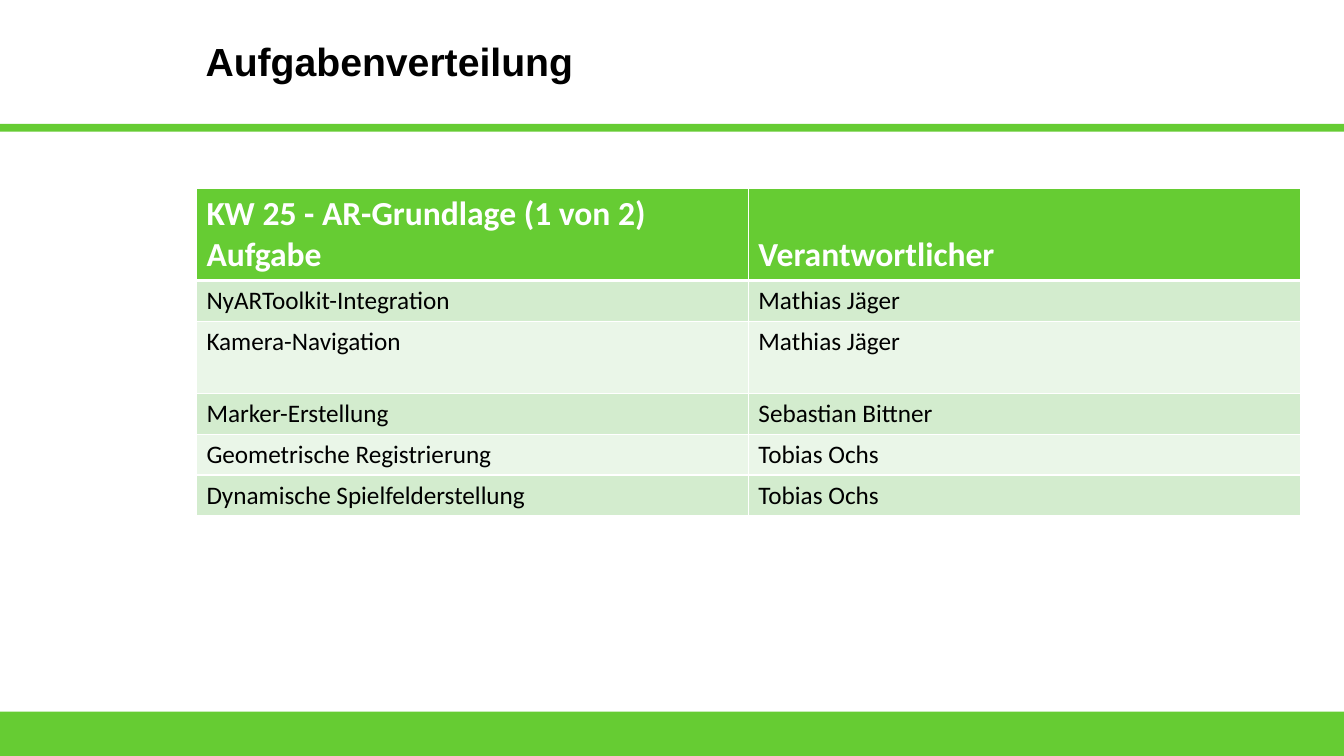
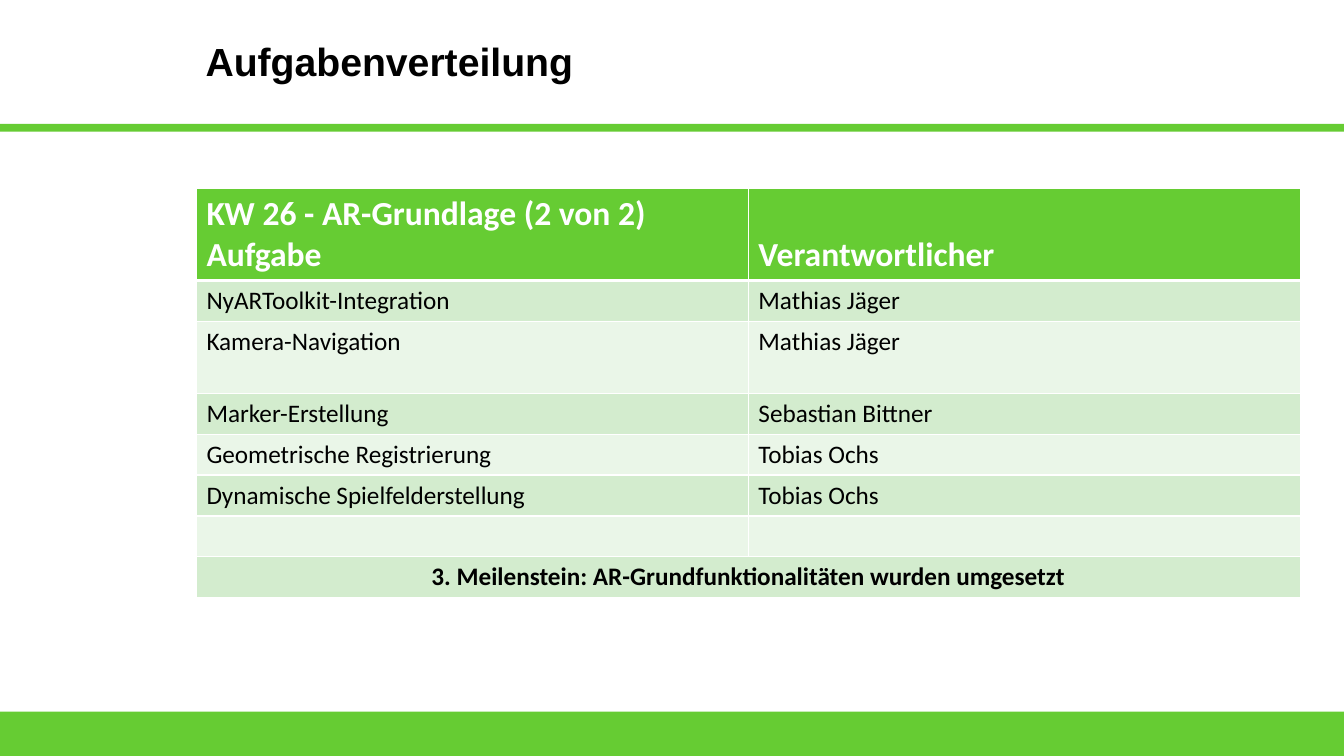
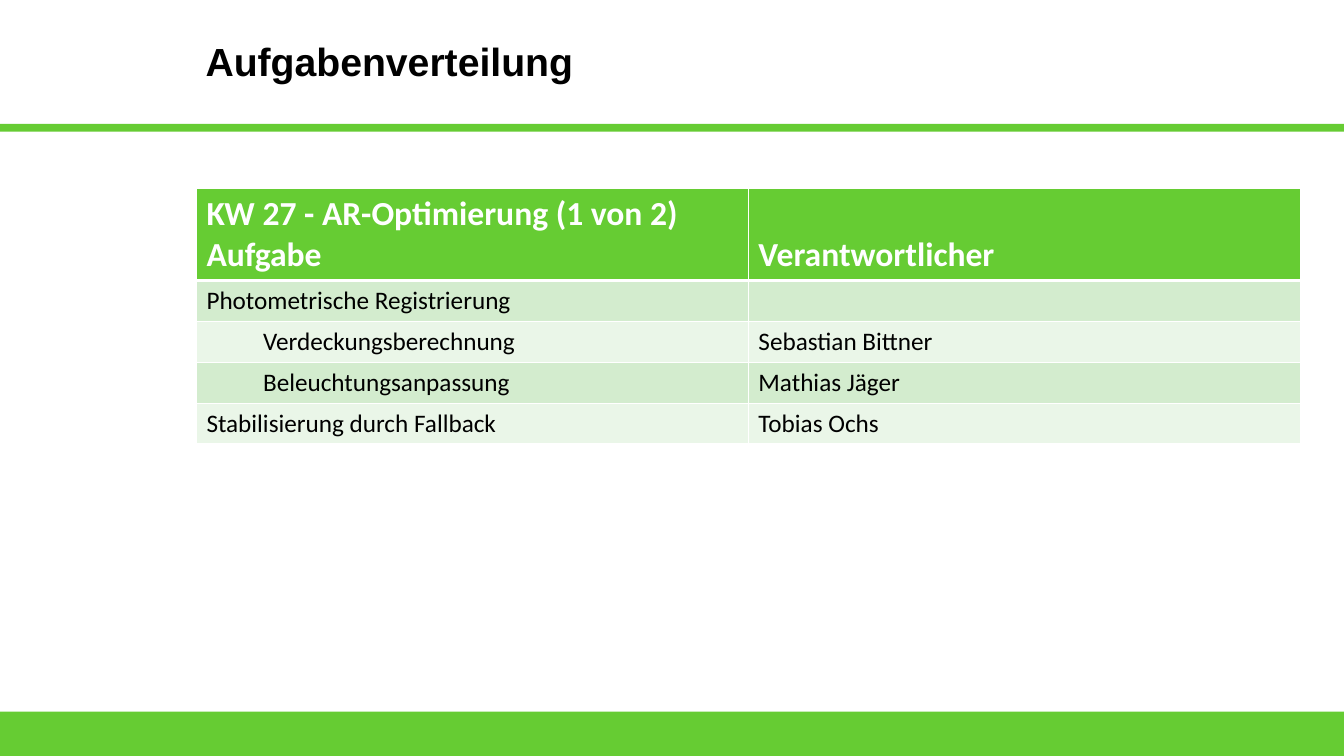
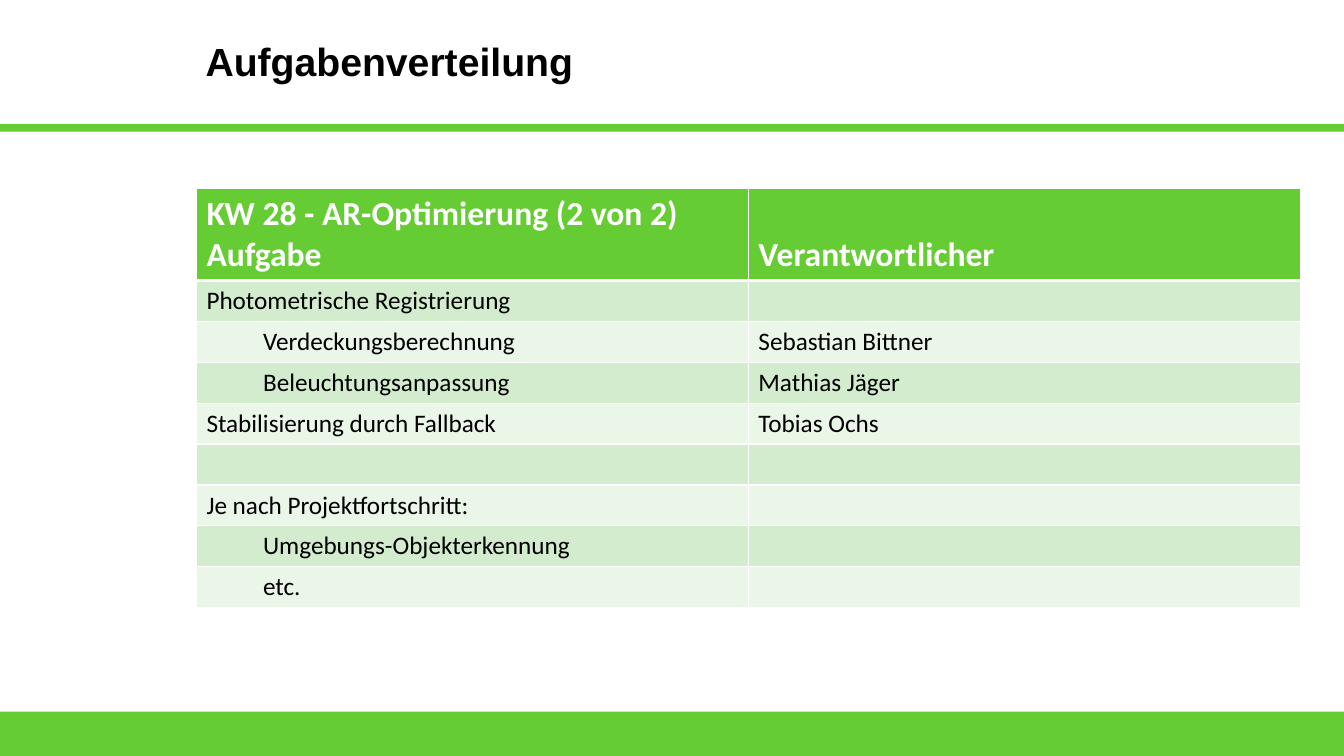
from lxml.etree import SubElement
from pptx import Presentation
from pptx.dml.color import RGBColor
from pptx.enum.shapes import MSO_SHAPE
from pptx.enum.text import MSO_ANCHOR, PP_ALIGN
from pptx.oxml.ns import qn
from pptx.util import Cm, Pt

COLORS = {
    "green": "66CC33",
    "band_dark": "D3ECCE",
    "band_light": "EAF6E8",
    "white": "FFFFFF",
    "black": "000000",
}
TITLE = "Aufgabenverteilung"
SLIDE_WIDTH, SLIDE_HEIGHT = 33.87, 19.05
BANDS = [(17.93, 1.12), (3.12, 0.2)]  # top, height
COLUMN_WIDTH = 13.91
HEADER_HEIGHT, ROW_HEIGHT, TALL_ROW_HEIGHT = 2.32, 1.03, 1.81
CELL_MARGIN, INDENT = 0.25, 1.43

# Table content: a leading tab marks a subtask, a single entry spans the row
basics = [
    ("NyARToolkit-Integration", "Mathias Jäger"),
    ("Kamera-Navigation", "Mathias Jäger"),
    ("Marker-Erstellung", "Sebastian Bittner"),
    ("Geometrische Registrierung", "Tobias Ochs"),
    ("Dynamische Spielfelderstellung", "Tobias Ochs"),
]
milestone = [
    ("", ""),
    ("3. Meilenstein: AR-Grundfunktionalitäten wurden umgesetzt",),
]
optimization = [
    ("Photometrische Registrierung", ""),
    ("\tVerdeckungsberechnung", "Sebastian Bittner"),
    ("\tBeleuchtungsanpassung", "Mathias Jäger"),
    ("Stabilisierung durch Fallback", "Tobias Ochs"),
]
optional = [
    ("", ""),
    ("Je nach Projektfortschritt:", ""),
    ("\tUmgebungs-Objekterkennung", ""),
    ("\tetc.", ""),
]
weeks = [
    ("KW 25 - AR-Grundlage (1 von 2)", basics),
    ("KW 26 - AR-Grundlage (2 von 2)", basics + milestone),
    ("KW 27 - AR-Optimierung (1 von 2)", optimization),
    ("KW 28 - AR-Optimierung (2 von 2)", optimization + optional),
]


def add_text(paragraph, text, size, color, bold=False, font="Calibri"):
    run = paragraph.add_run()
    run.text = text
    run.font.name = font
    run.font.size = Pt(size)
    run.font.bold = bold
    run.font.color.rgb = RGBColor.from_string(COLORS[color])


def style_cell(cell, fill, top=1, bottom=1):
    """Give a cell white borders (widths in points) and a solid fill."""
    properties = cell._tc.get_or_add_tcPr()
    for side, width in (("L", 1), ("R", 1), ("T", top), ("B", bottom)):
        line = SubElement(properties, qn(f"a:ln{side}"), w=str(Pt(width)))
        line_fill = SubElement(line, qn("a:solidFill"))
        SubElement(line_fill, qn("a:srgbClr"), val=COLORS["white"])
    cell.fill.solid()
    cell.fill.fore_color.rgb = RGBColor.from_string(COLORS[fill])


presentation = Presentation()
presentation.slide_width = Cm(SLIDE_WIDTH)
presentation.slide_height = Cm(SLIDE_HEIGHT)
blank_layout = presentation.slide_layouts[6]

for heading, tasks in weeks:
    slide = presentation.slides.add_slide(blank_layout)

    # Green bands
    for top, height in BANDS:
        band = slide.shapes.add_shape(
            MSO_SHAPE.RECTANGLE, 0, Cm(top), Cm(SLIDE_WIDTH), Cm(height))
        band.shadow.inherit = False
        band.fill.solid()
        band.fill.fore_color.rgb = RGBColor.from_string(COLORS["green"])
        band.line.fill.background()

    # Title
    title = slide.shapes.add_textbox(Cm(4.93), Cm(-0.05), Cm(28.94), Cm(3.18))
    title.text_frame.word_wrap = True
    title.text_frame.vertical_anchor = MSO_ANCHOR.MIDDLE
    add_text(title.text_frame.paragraphs[0], TITLE, 28, "black", True, "Arial")

    # Table grid
    heights = [HEADER_HEIGHT] + [
        TALL_ROW_HEIGHT if task[0] == "Kamera-Navigation" else ROW_HEIGHT
        for task in tasks]
    table = slide.shapes.add_table(
        len(heights), 2, Cm(4.95), Cm(4.75),
        Cm(2 * COLUMN_WIDTH), Cm(sum(heights))).table
    table.first_row = False
    table.horz_banding = False
    for column in table.columns:
        column.width = Cm(COLUMN_WIDTH)
    for row, height in zip(table.rows, heights):
        row.height = Cm(height)

    # Header row
    for column, lines in enumerate([(heading, "Aufgabe"), ("Verantwortlicher",)]):
        cell = table.cell(0, column)
        cell.vertical_anchor = MSO_ANCHOR.BOTTOM
        style_cell(cell, "green", bottom=3)
        frame = cell.text_frame
        for number, line in enumerate(lines):
            paragraph = frame.add_paragraph() if number else frame.paragraphs[0]
            add_text(paragraph, line, 24, "white", True)

    # Task rows
    for row, task in enumerate(tasks, start=1):
        spans_row = len(task) == 1
        if spans_row:
            table.cell(row, 0).merge(table.cell(row, 1))
        for column in range(2):
            style_cell(table.cell(row, column),
                       "band_dark" if row % 2 else "band_light",
                       top=3 if row == 1 else 1)
        for column, text in enumerate(task):
            cell = table.cell(row, column)
            paragraph = cell.text_frame.paragraphs[0]
            if text.startswith("\t"):
                cell.margin_left = Cm(CELL_MARGIN + INDENT)
            if spans_row:
                paragraph.alignment = PP_ALIGN.CENTER
            if text:
                add_text(paragraph, text.strip(), 18, "black", spans_row)

presentation.save("out.pptx")
